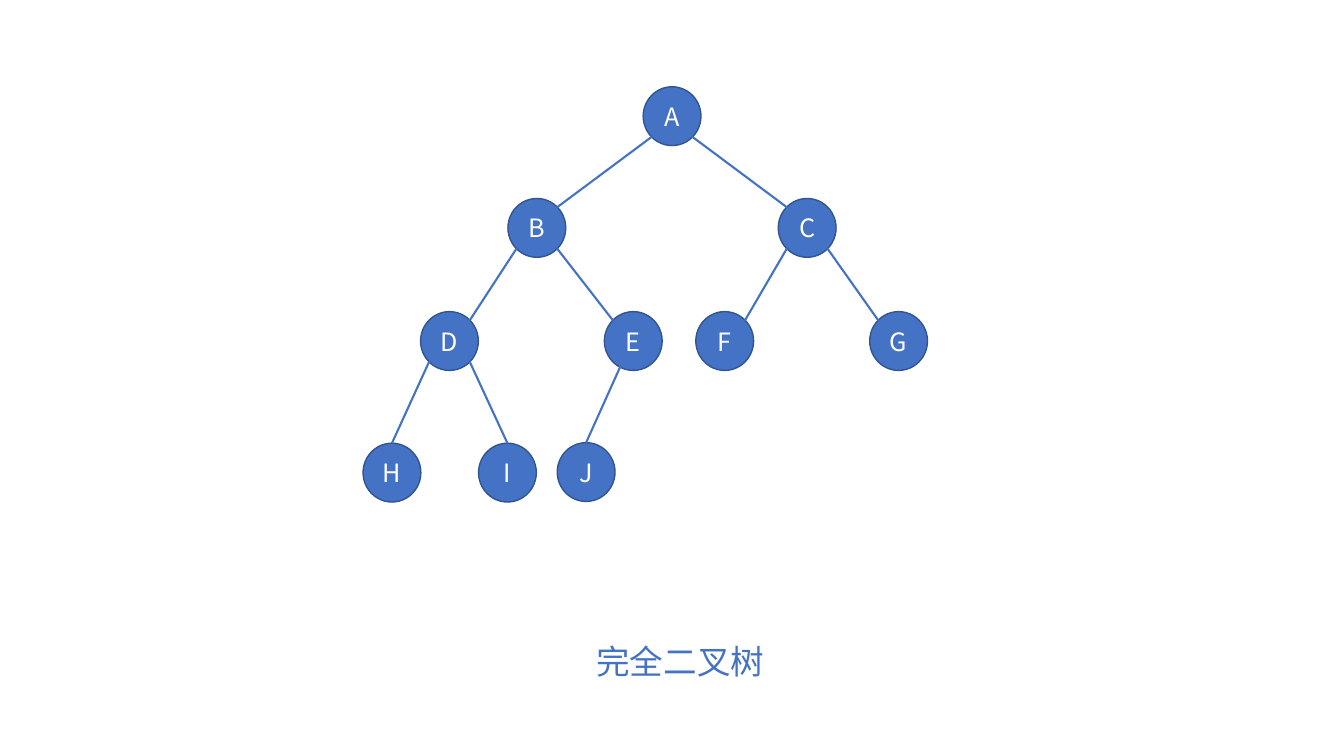
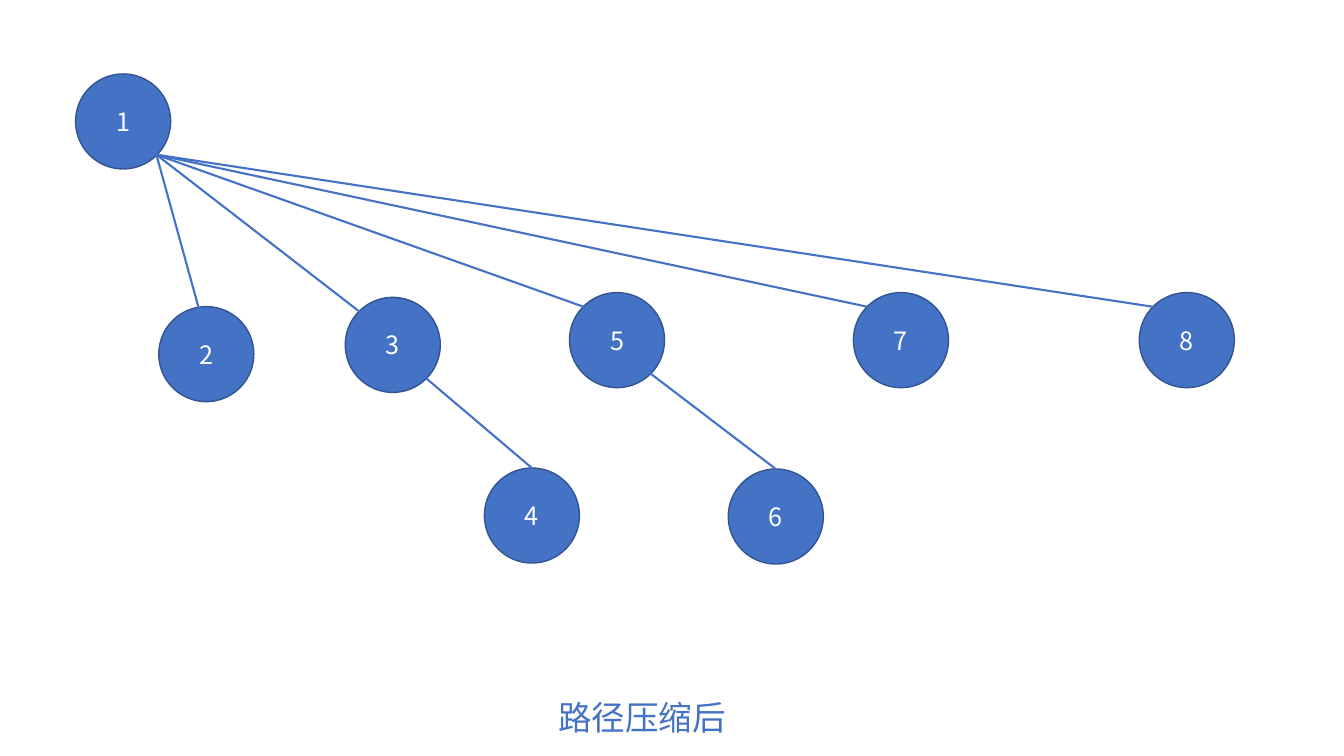
from dataclasses import dataclass
from enum import Enum

from lxml import etree
from pptx import Presentation
from pptx.dml.color import RGBColor
from pptx.enum import shapes, text
from pptx.oxml import ns
from pptx.util import Pt

# Shared look
BLUE = RGBColor(0x44, 0x72, 0xC4)
OUTLINE = RGBColor(0x32, 0x54, 0x91)
WHITE = RGBColor(0xFF, 0xFF, 0xFF)
FONT = "Noto Sans CJK SC"
CAPTION_WIDTH, CAPTION_HEIGHT = 684, 36


class Anchor(Enum):
    """Where an edge meets a node, as fractions of its width and height."""
    TOP = (0.5, 0)
    TOP_INNER = (0.43, 0.05)
    TOP_LEFT = (0.15, 0.15)
    TOP_RIGHT = (0.85, 0.15)
    BOTTOM_LEFT = (0.15, 0.85)
    BOTTOM_INNER = (0.31, 0.86)
    BOTTOM_RIGHT = (0.85, 0.85)


@dataclass(frozen=True)
class Node:
    label: str
    left: float
    top: float


@dataclass(frozen=True)
class Edge:
    parent: str
    leave: Anchor
    child: str
    arrive: Anchor


@dataclass(frozen=True)
class Tree:
    caption: str
    caption_left: float
    caption_top: float
    node_width: float
    node_height: float
    side_inset: float
    nodes: list[Node]
    edges: list[Edge]


# Content
COMPLETE_TREE = Tree(
    "完全二叉树", 144, 454.3, 41.3, 42, 7.2,
    [Node("A", 459.4, 62),
     Node("B", 362.8, 141.8), Node("C", 555.9, 141.8),
     Node("D", 300.4, 222.6), Node("E", 431.7, 222.6),
     Node("F", 497, 222.6), Node("G", 621.2, 222.6),
     Node("H", 259.3, 316.6), Node("I", 341.8, 316.6), Node("J", 398, 316.2)],
    [Edge("A", Anchor.BOTTOM_LEFT, "B", Anchor.TOP_RIGHT),
     Edge("A", Anchor.BOTTOM_RIGHT, "C", Anchor.TOP_LEFT),
     Edge("B", Anchor.BOTTOM_LEFT, "D", Anchor.TOP_RIGHT),
     Edge("B", Anchor.BOTTOM_RIGHT, "E", Anchor.TOP_LEFT),
     Edge("C", Anchor.BOTTOM_LEFT, "F", Anchor.TOP_RIGHT),
     Edge("C", Anchor.BOTTOM_RIGHT, "G", Anchor.TOP_LEFT),
     Edge("D", Anchor.BOTTOM_LEFT, "H", Anchor.TOP),
     Edge("D", Anchor.BOTTOM_RIGHT, "I", Anchor.TOP),
     Edge("E", Anchor.BOTTOM_INNER, "J", Anchor.TOP)])

COMPRESSED_TREE = Tree(
    "路径压缩后", 116.6, 494.6, 67.9, 67.9, 0,
    [Node("1", 54, 52.8),
     Node("2", 113.4, 219), Node("3", 246.6, 212.4), Node("5", 406.8, 209),
     Node("7", 609.6, 209), Node("8", 813.8, 209),
     Node("4", 346, 334.3), Node("6", 520.2, 335)],
    [Edge("1", Anchor.BOTTOM_RIGHT, "2", Anchor.TOP_INNER),
     *(Edge("1", Anchor.BOTTOM_RIGHT, child, Anchor.TOP_LEFT)
       for child in "3578"),
     Edge("3", Anchor.BOTTOM_RIGHT, "4", Anchor.TOP),
     Edge("5", Anchor.BOTTOM_RIGHT, "6", Anchor.TOP)])


def write_centred(frame, words: str, size: float, colour: RGBColor) -> None:
    frame.text = words
    line = frame.paragraphs[0]
    line.alignment = text.PP_ALIGN.CENTER
    font = line.runs[0].font
    font.size = Pt(size)
    font.name = FONT
    font.color.rgb = colour
    # East Asian characters take their font from a separate element
    east_asian = etree.SubElement(line.runs[0]._r.get_or_add_rPr(), ns.qn("a:ea"))
    east_asian.set("typeface", FONT)


def draw_node(slide, tree: Tree, node: Node) -> None:
    circle = slide.shapes.add_shape(
        shapes.MSO_SHAPE.OVAL, Pt(node.left), Pt(node.top),
        Pt(tree.node_width), Pt(tree.node_height))
    circle.shadow.inherit = False
    circle.fill.solid()
    circle.fill.fore_color.rgb = BLUE
    circle.line.color.rgb = OUTLINE
    circle.line.width = Pt(1)
    frame = circle.text_frame
    frame.margin_left = frame.margin_right = Pt(tree.side_inset)
    frame.vertical_anchor = text.MSO_ANCHOR.MIDDLE
    write_centred(frame, node.label, 18, WHITE)


def anchor_point(tree: Tree, node: Node, anchor: Anchor) -> tuple[Pt, Pt]:
    across, down = anchor.value
    return (Pt(node.left + across * tree.node_width),
            Pt(node.top + down * tree.node_height))


def draw_edge(slide, tree: Tree, parent: Node, child: Node, edge: Edge) -> None:
    branch = slide.shapes.add_connector(
        shapes.MSO_CONNECTOR.STRAIGHT,
        *anchor_point(tree, parent, edge.leave),
        *anchor_point(tree, child, edge.arrive))
    branch.line.color.rgb = BLUE
    branch.line.width = Pt(1.5)
    etree.SubElement(branch._element.spPr, ns.qn("a:effectLst"))


def draw_caption(slide, tree: Tree) -> None:
    caption = slide.shapes.add_textbox(
        Pt(tree.caption_left), Pt(tree.caption_top),
        Pt(CAPTION_WIDTH), Pt(CAPTION_HEIGHT))
    caption.text_frame.word_wrap = True
    caption.text_frame.auto_size = text.MSO_AUTO_SIZE.SHAPE_TO_FIT_TEXT
    write_centred(caption.text_frame, tree.caption, 24, BLUE)


def draw_tree(slide, tree: Tree) -> None:
    by_label = {node.label: node for node in tree.nodes}
    for node in tree.nodes:
        draw_node(slide, tree, node)
    for edge in tree.edges:
        draw_edge(slide, tree, by_label[edge.parent], by_label[edge.child], edge)
    draw_caption(slide, tree)


def main() -> None:
    deck = Presentation()
    deck.slide_width, deck.slide_height = Pt(960), Pt(540)
    blank = deck.slide_layouts[6]
    for tree in (COMPLETE_TREE, COMPRESSED_TREE):
        draw_tree(deck.slides.add_slide(blank), tree)
    deck.save("out.pptx")


if __name__ == "__main__":
    main()
